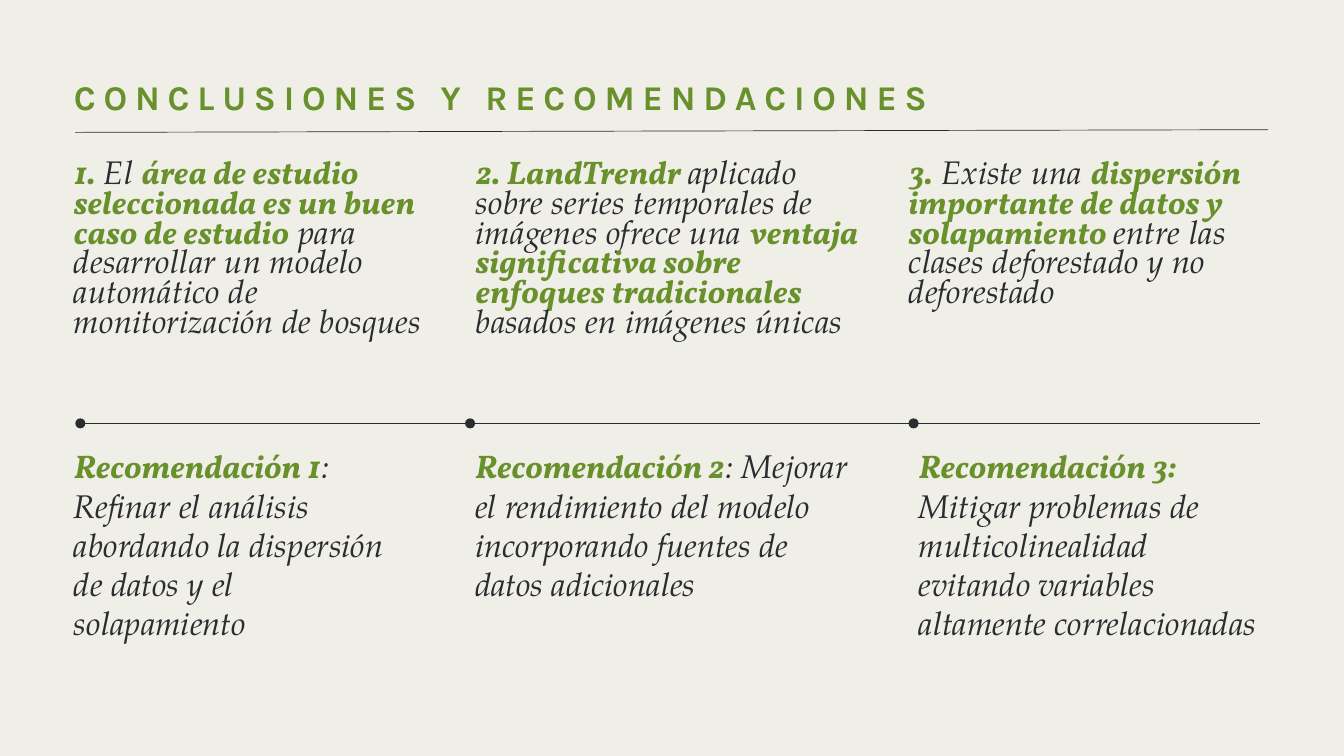
from lxml.etree import SubElement
from pptx import Presentation
from pptx.dml.color import RGBColor
from pptx.enum.shapes import MSO_CONNECTOR, MSO_SHAPE
from pptx.enum.text import MSO_ANCHOR, MSO_AUTO_SIZE, PP_ALIGN
from pptx.oxml.ns import qn
from pptx.util import Inches, Pt

COLORS = {name: RGBColor.from_string(value) for name, value in {
    "background": "EFEEE7", "accent": "68902B", "ink": "2B2C30"}.items()}
HEADING_FONT, ACCENT_FONT, BODY_FONT = "Karla", "Vollkorn", "TeX Gyre Pagella"

# Grid, in inches
LEFT, RIGHT = 1.1, 18.87
CONCLUSION_ROW, TIMELINE_ROW, RECOMMENDATION_ROW = 2.4, 6.3, 6.64
DOT_SIZE = 0.15

# Each text alternates accented and plain parts, starting with an accented one.
# Columns: left edge, width, parts
CONCLUSIONS = [
    (LEFT, 5.2, ["1.", " El ", "área de estudio seleccionada es un buen caso de estudio",
                 " para desarrollar un modelo automático de monitorización de bosques"]),
    (7.08, 5.83, ["2. LandTrendr ", "aplicado sobre series temporales de imágenes ofrece una ",
                  "ventaja significativa sobre enfoques tradicionales",
                  " basados en imágenes únicas"]),
    (13.52, 5.35, ["3.", " Existe una ", "dispersión importante de datos y solapamiento ",
                   "entre las clases deforestado y no deforestado"]),
]
RECOMMENDATIONS = [
    (LEFT, 4.81, ["Recomendación 1", ": Refinar el análisis abordando la dispersión "
                  "de datos y el solapamiento"]),
    (7.07, 5.6, ["Recomendación 2", ": Mejorar el rendimiento del modelo incorporando "
                 "fuentes de datos adicionales"]),
    (13.67, 5.2, ["Recomendación 3:", " Mitigar problemas de multicolinealidad evitando "
                  "variables altamente correlacionadas"]),
]
# Row: top, height, line spacing and letter spacing in points, columns
ROWS = [
    (CONCLUSION_ROW, 3.1, 31.9, 0.2, CONCLUSIONS),
    (RECOMMENDATION_ROW, 2.86, 42, 0, RECOMMENDATIONS),
]


def prepare_paragraph(shape, line_spacing):
    """Remove the frame's margins and return its first paragraph, left aligned."""
    frame = shape.text_frame
    frame.margin_left = frame.margin_top = frame.margin_right = frame.margin_bottom = 0
    frame.word_wrap = True
    frame.auto_size = MSO_AUTO_SIZE.SHAPE_TO_FIT_TEXT
    frame.vertical_anchor = MSO_ANCHOR.TOP
    paragraph = frame.paragraphs[0]
    paragraph.alignment = PP_ALIGN.LEFT
    paragraph.line_spacing = Pt(line_spacing)
    paragraph.space_before = Pt(0)
    return paragraph


def add_rule(start_x, start_y, end_x, end_y):
    rule = slide.shapes.add_connector(
        MSO_CONNECTOR.STRAIGHT, Inches(start_x), Inches(start_y), Inches(end_x), Inches(end_y))
    rule.line.color.rgb = COLORS["ink"]
    rule.line.width = Pt(0.75)
    SubElement(rule.element.spPr, qn("a:effectLst"))


presentation = Presentation()
presentation.slide_width, presentation.slide_height = Inches(20), Inches(11.25)
slide = presentation.slides.add_slide(presentation.slide_layouts[5])
slide.background.fill.solid()
slide.background.fill.fore_color.rgb = COLORS["background"]

# Title
add_rule(1.12, 1.97, RIGHT, 1.93)
title = slide.shapes.title
title.left, title.top = Inches(LEFT), Inches(1.03)
title.width, title.height = Inches(RIGHT - LEFT), Inches(0.71)
paragraph = prepare_paragraph(title, 52)
run = paragraph.add_run()
run.text = "CONCLUSIONES Y RECOMENDACIONES"
run.font._element.set("spc", "840") if hasattr(run.font, "_element") else \
    run._r.get_or_add_rPr().set("spc", "840")
paragraph.font.name = HEADING_FONT
paragraph.font.size = Pt(37.1)
paragraph.font.bold = True
paragraph.font.color.rgb = COLORS["accent"]

# Timeline
for dot_left in (1.12, 6.92, 13.52):
    dot = slide.shapes.add_shape(
        MSO_SHAPE.OVAL, Inches(dot_left), Inches(TIMELINE_ROW - DOT_SIZE / 2),
        Inches(DOT_SIZE), Inches(DOT_SIZE))
    dot.shadow.inherit = False
    dot.fill.solid()
    dot.fill.fore_color.rgb = COLORS["ink"]
    dot.line.fill.background()
add_rule(1.14, TIMELINE_ROW, 18.75, TIMELINE_ROW)

# Conclusions above the timeline, recommendations below
for top, height, line_spacing, letter_spacing, columns in ROWS:
    for left, width, parts in columns:
        box = slide.shapes.add_textbox(Inches(left), Inches(top), Inches(width), Inches(height))
        paragraph = prepare_paragraph(box, line_spacing)
        paragraph.font.size = Pt(35)
        paragraph.font.italic = True
        for index, part in enumerate(parts):
            accented = index % 2 == 0
            run = paragraph.add_run()
            run.text = part
            run.font.name = ACCENT_FONT if accented else BODY_FONT
            run.font.bold = accented
            run.font.color.rgb = COLORS["accent" if accented else "ink"]
            run._r.get_or_add_rPr().set("spc", f"{letter_spacing * 100:.0f}")

presentation.save("out.pptx")
